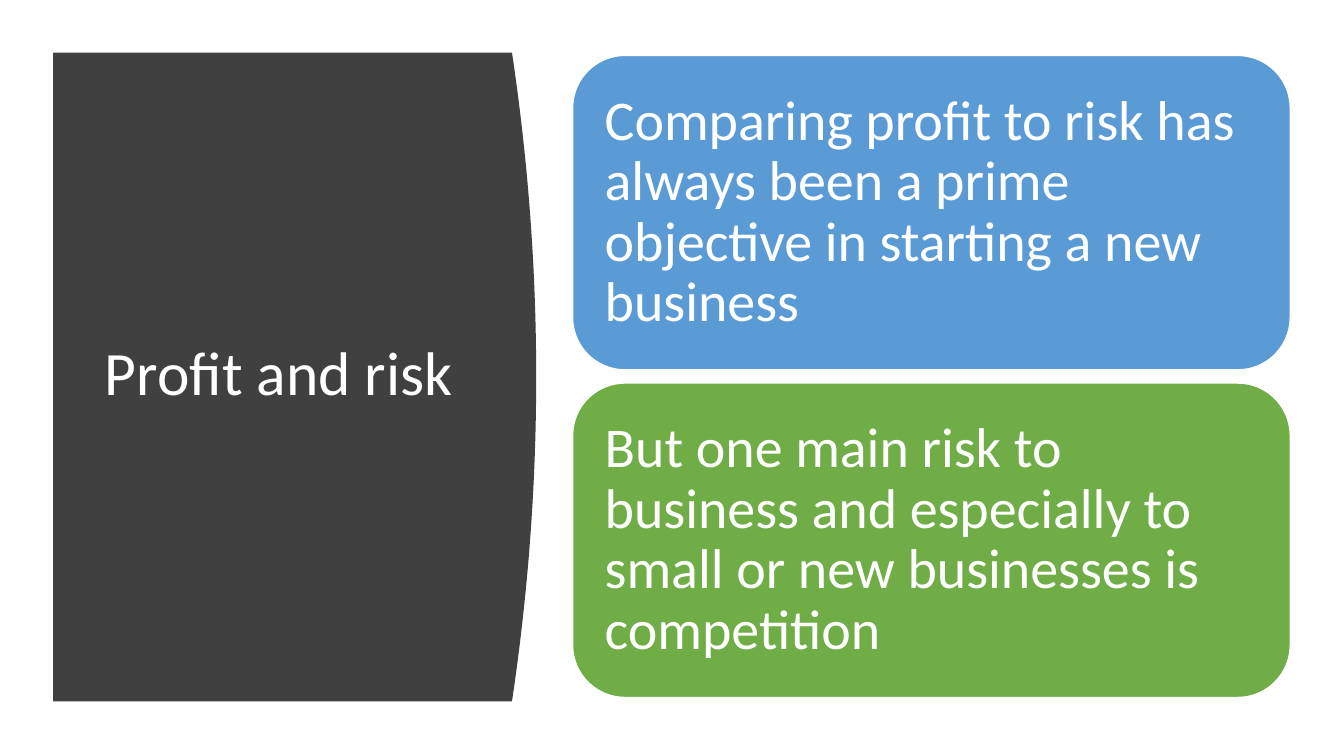
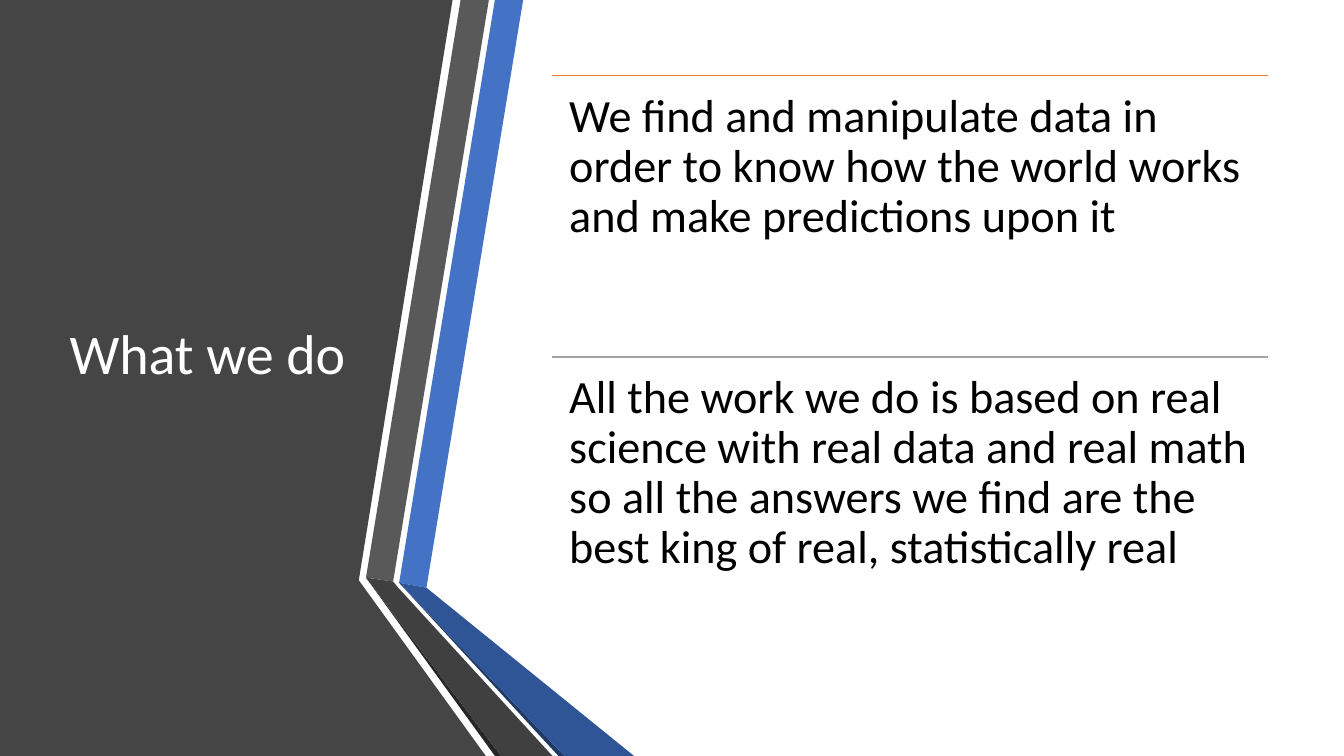
"""Build two slides on profit, risk and the work we do."""
import pptx
import pptx.dml.color
import pptx.enum.shapes
import pptx.enum.text
import pptx.oxml
import pptx.oxml.ns
import pptx.util

Pt = pptx.util.Pt
RGB = pptx.dml.color.RGBColor
ANCHOR = pptx.enum.text.MSO_ANCHOR

WHITE = RGB(0xFF, 0xFF, 0xFF)
BLACK = RGB(0x00, 0x00, 0x00)
CHARCOAL = RGB(0x40, 0x40, 0x40)
SLATE = RGB(0x45, 0x45, 0x45)
GREY = RGB(0x59, 0x59, 0x59)
DARK_GREY = RGB(0x26, 0x26, 0x26)
SILVER = RGB(0xA5, 0xA5, 0xA5)
BLUE = RGB(0x44, 0x72, 0xC4)
DARK_BLUE = RGB(0x2F, 0x55, 0x97)
NAVY = RGB(0x20, 0x38, 0x64)
SKY = RGB(0x5B, 0x9B, 0xD5)
GREEN = RGB(0x70, 0xAD, 0x47)
ORANGE = RGB(0xED, 0x7D, 0x31)


def write(shape, text, size, color=WHITE, font="Calibri", anchor=ANCHOR.MIDDLE, inset=None):
    tf = shape.text_frame
    tf.word_wrap = True
    tf.auto_size = pptx.enum.text.MSO_AUTO_SIZE.NONE
    tf.vertical_anchor = anchor
    if inset is not None:
        tf.margin_left = tf.margin_top = tf.margin_right = tf.margin_bottom = Pt(inset)
    p = tf.paragraphs[0]
    p.alignment = pptx.enum.text.PP_ALIGN.LEFT
    p.line_spacing = 0.9
    r = p.add_run()
    r.text = text
    r.font.name, r.font.size, r.font.color.rgb = font, Pt(size), color


class Deck:
    WIDTH, HEIGHT = 960, 540
    INSET = 12
    LINE = 1

    def __init__(self):
        self.prs = pptx.Presentation()
        self.prs.slide_width, self.prs.slide_height = Pt(self.WIDTH), Pt(self.HEIGHT)
        self.s = None

    def slide(self):
        self.s = self.prs.slides.add_slide(self.prs.slide_layouts[5])

    def title(self, text, box, size):
        sp = self.s.shapes.title
        sp.left, sp.top, sp.width, sp.height = map(Pt, box)
        write(sp, text, size)
        sp.element.getparent().append(sp.element)

    def polygon(self, points, color):
        start, *rest = [(Pt(x), Pt(y)) for x, y in points]
        builder = self.s.shapes.build_freeform(*start)
        builder.add_line_segments(rest, close=True)
        sp = builder.convert_to_shape()
        sp.shadow.inherit = False
        sp.fill.solid()
        sp.fill.fore_color.rgb = color
        sp.line.fill.background()

    def card(self, text, box, color, size=40):
        kind = pptx.enum.shapes.MSO_SHAPE.ROUNDED_RECTANGLE
        sp = self.s.shapes.add_shape(kind, *map(Pt, box))
        sp.shadow.inherit = False
        sp.fill.solid()
        sp.fill.fore_color.rgb = color
        sp.line.color.rgb, sp.line.width = WHITE, Pt(self.LINE)
        write(sp, text, size, inset=self.INSET)

    def rule(self, x, y, width, color):
        kind = pptx.enum.shapes.MSO_CONNECTOR.STRAIGHT
        c = self.s.shapes.add_connector(kind, Pt(x), Pt(y), Pt(x + width), Pt(y))
        c.line.color.rgb, c.line.width = color, Pt(self.LINE)
        pptx.oxml.ns.qn("a:effectLst")
        c.element.spPr.append(c.element.spPr.makeelement(pptx.oxml.ns.qn("a:effectLst"), {}))

    def text(self, text, box, size=33):
        sp = self.s.shapes.add_textbox(*map(Pt, box))
        write(sp, text, size, color=BLACK, anchor=ANCHOR.TOP, inset=self.INSET)


def bulged_panel(left, top, right, bottom, bulge, steps=40):
    edge = []
    for i in range(steps + 1):
        t = i / steps
        edge.append((right - bulge * (2 * t - 1) ** 2, top + (bottom - top) * t))
    return [(left, top), *edge, (left, bottom)]


def profit_slide(deck):
    deck.slide()
    deck.polygon(bulged_panel(38, 37.5, 383, 501, 17.3), CHARCOAL)
    deck.title("Profit and risk", (67.7, 80, 269.3, 377), 44)
    cards = [
        ("Comparing profit to risk has always been a prime objective in starting a new business", SKY),
        ("But one main risk to business and especially to small or new businesses is competition", GREEN),
    ]
    for i, (text, color) in enumerate(cards):
        deck.card(text, (409, 39.6 + 234 * i, 512.6, 224.6), color)


def work_slide(deck):
    deck.slide()
    bottom = deck.HEIGHT
    grey_left, grey_right = (261.4, 412.6), (280.8, 415.4)
    blue_left, blue_right = (285.1, 416.3), (304.6, 419.8)
    shapes = [
        ([(0, 0), (323.3, 0), (256.3, 414.5), (347, bottom), (0, bottom)], SLATE),
        ([blue_left, blue_right, (373.7, 0), (353.5, 0)], BLUE),
        ([grey_left, grey_right, (349.2, 0), (329, 0)], GREY),
        ([grey_left, (353.5, bottom), (357.8, bottom)], DARK_GREY),
        ([blue_left, (398.9, bottom), (403.2, bottom)], NAVY),
        ([blue_left, (403.2, bottom), (452.9, bottom), blue_right], DARK_BLUE),
        ([grey_left, (357.8, bottom), (394.6, bottom), (284.4, 419.8), grey_right], CHARCOAL),
    ]
    for points, color in shapes:
        deck.polygon(points, color)
    deck.title("What we do", (42.5, 54, 219, 401.8), 40)
    items = [
        ("We find and manipulate data in order to know how the world works "
         "and make predictions upon it", ORANGE),
        ("All the work we do is based on real science with real data and real math "
         "so all the answers we find are the best king of real, statistically real", SILVER),
    ]
    left, width, height = 394.6, 511.2, 200.9
    for i, (text, color) in enumerate(items):
        top = 54 + height * i
        deck.rule(left, top, width, color)
        deck.text(text, (left, top, width, height))


def main():
    deck = Deck()
    profit_slide(deck)
    work_slide(deck)
    deck.prs.save("out.pptx")


if __name__ == "__main__":
    main()
